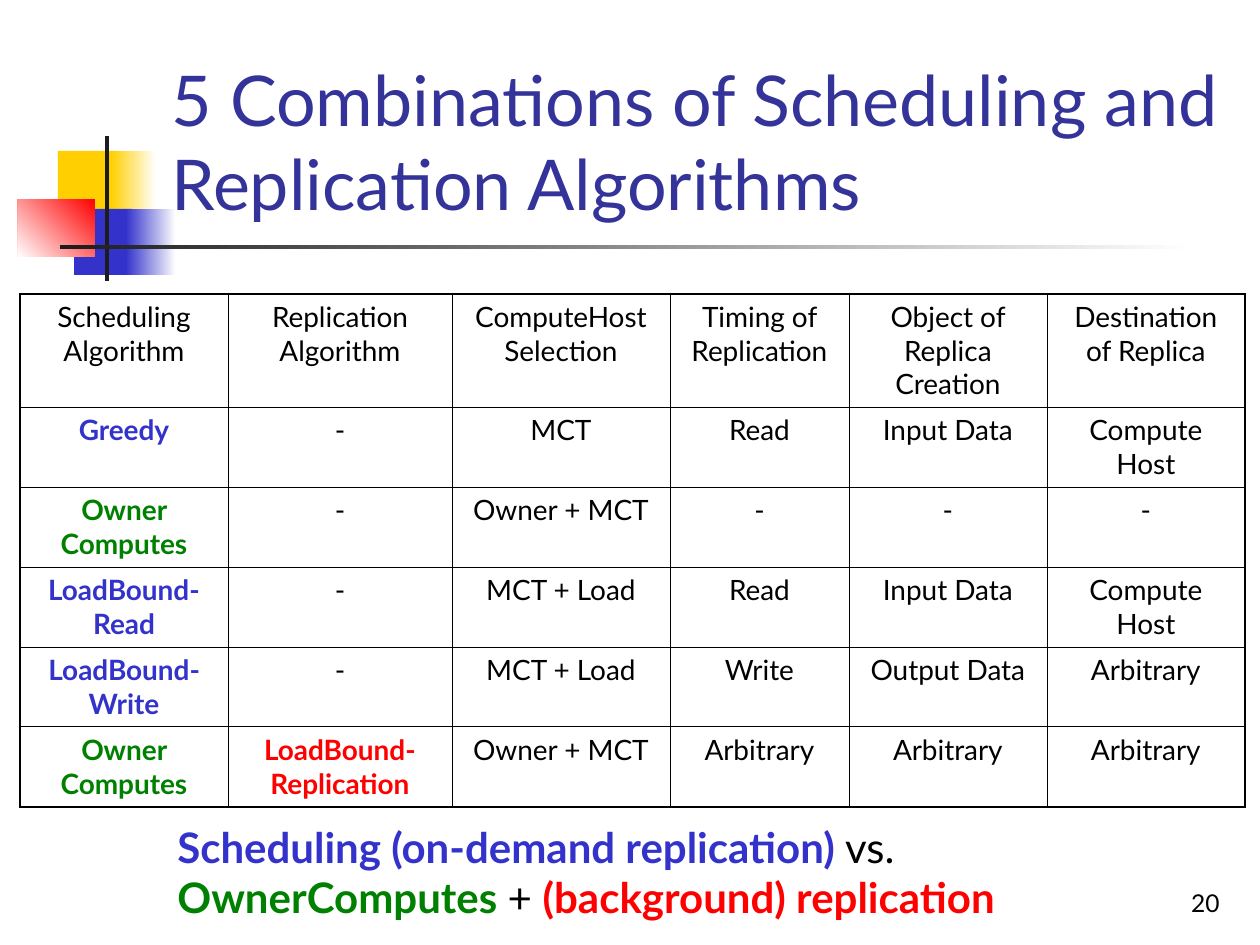
from typing import NamedTuple

from lxml import etree
from pptx import Presentation
from pptx.dml.color import RGBColor
from pptx.enum.shapes import MSO_SHAPE
from pptx.enum.text import MSO_ANCHOR, MSO_AUTO_SIZE, PP_ALIGN
from pptx.oxml.ns import qn
from pptx.util import Emu, Pt

RECT = MSO_SHAPE.RECTANGLE
TOP, BOTTOM = MSO_ANCHOR.TOP, MSO_ANCHOR.BOTTOM
LEFT, CENTER, RIGHT = PP_ALIGN.LEFT, PP_ALIGN.CENTER, PP_ALIGN.RIGHT
NO_AUTOFIT = MSO_AUTO_SIZE.NONE

PX_PER_INCH = 126
FONT = "Lato"
BLACK, WHITE, INK = "000000", "FFFFFF", "1C1C1C"
YELLOW, BLUE, RED, GREEN, NAVY = "FFCF01", "3333CC", "FF0000", "008000", "333399"
THIN, THICK = 0.45, 1.08
TITLE_ONLY = 5


class Box(NamedTuple):
    x: int
    y: int
    w: int
    h: int


class Block(NamedTuple):
    box: Box
    start: str
    end: str = ""
    angle: int = 180


class Run(NamedTuple):
    text: str
    color: str = BLACK
    bold: bool = False


BLOCKS = [
    Block(Box(58, 151, 60, 66), YELLOW),
    Block(Box(111, 151, 45, 66), WHITE, YELLOW),
    Block(Box(74, 209, 58, 66), BLUE),
    Block(Box(126, 209, 50, 66), WHITE, BLUE),
    Block(Box(18, 199, 77, 58), RED, WHITE, 225),
    Block(Box(105, 136, 4, 145), INK),
    Block(Box(60, 245, 1134, 4), WHITE, INK),
]

COLUMNS = [208, 224, 218, 179, 198, 198]
ROWS = [113] + [80] * 5
NONE = Run("-")
OWNER = Run("Owner Computes", GREEN, True)
HEADERS = ["Scheduling Algorithm", "Replication Algorithm", "ComputeHost Selection",
           "Timing of Replication", "Object of Replica Creation", "Destination of Replica"]
CELLS = [
    [Run(header) for header in HEADERS],
    [Run("Greedy", BLUE, True), NONE, Run("MCT"), Run("Read"),
     Run("Input Data"), Run("Compute Host")],
    [OWNER, NONE, Run("Owner + MCT"), NONE, NONE, NONE],
    [Run("LoadBound-Read", BLUE, True), NONE, Run("MCT + Load"), Run("Read"),
     Run("Input Data"), Run("Compute Host")],
    [Run("LoadBound-Write", BLUE, True), NONE, Run("MCT + Load"), Run("Write"),
     Run("Output Data"), Run("Arbitrary")],
    [OWNER, Run("LoadBound-\nReplication", RED, True), Run("Owner + MCT")]
    + [Run("Arbitrary")] * 3,
]

SUMMARY = [
    Run("Scheduling (on-demand replication) ", BLUE, True),
    Run("vs. \n"),
    Run("OwnerComputes ", GREEN, True),
    Run("+ "),
    Run("(background) replication", RED, True),
]


def px(n: int) -> Emu:
    return Emu(round(n * 914400 / PX_PER_INCH))


def rgb(color: str) -> RGBColor:
    return RGBColor.from_string(color)


def place(box: Box) -> list[Emu]:
    return [px(n) for n in box]


def add_block(shapes, block: Block) -> None:
    sp = shapes.add_shape(RECT, *place(block.box))
    sp.shadow.inherit = False
    sp.line.fill.background()
    if not block.end:
        sp.fill.solid()
        sp.fill.fore_color.rgb = rgb(block.start)
        return
    sp.fill.gradient()
    sp.fill.gradient_angle = block.angle
    for stop, color in zip(sp.fill.gradient_stops, (block.start, block.end)):
        stop.color.rgb = rgb(color)


def write(tf, runs: list[Run], size: int, align=LEFT) -> None:
    p = tf.paragraphs[0]
    p.alignment = align
    for run in runs:
        for i, line in enumerate(run.text.split("\n")):
            if i:
                p.add_line_break()
            if not line:
                continue
            r = p.add_run()
            r.text = line
            r.font.name = FONT
            r.font.size = Pt(size)
            r.font.bold = run.bold
            r.font.color.rgb = rgb(run.color)


def add_text(shapes, box: Box, runs: list[Run], size: int, align, anchor) -> None:
    tf = shapes.add_textbox(*place(box)).text_frame
    tf.word_wrap = True
    tf.vertical_anchor = anchor
    write(tf, runs, size, align)


def set_border(cell, side: str, width: float) -> None:
    ln = etree.SubElement(cell._tc.get_or_add_tcPr(), qn(f"a:ln{side}"), w=str(Pt(width)))
    fill = etree.SubElement(ln, qn("a:solidFill"))
    etree.SubElement(fill, qn("a:srgbClr"), val=BLACK)


def add_grid(shapes, x: int, y: int) -> None:
    box = Box(x, y, sum(COLUMNS), sum(ROWS))
    table = shapes.add_table(len(ROWS), len(COLUMNS), *place(box)).table
    table.first_row = table.horz_banding = False
    for column, width in zip(table.columns, COLUMNS):
        column.width = px(width)
    for row, height in zip(table.rows, ROWS):
        row.height = px(height)
    for i, runs in enumerate(CELLS):
        for j, run in enumerate(runs):
            cell = table.cell(i, j)
            outer = {"L": j == 0, "R": j == len(COLUMNS) - 1,
                     "T": i == 0, "B": i == len(ROWS) - 1}
            for side, is_outer in outer.items():
                set_border(cell, side, THICK if is_outer else THIN)
            cell.fill.background()
            write(cell.text_frame, [run], 16, CENTER)


def main() -> None:
    prs = Presentation()
    prs.slide_width, prs.slide_height = px(1260), px(945)
    s = prs.slides.add_slide(prs.slide_layouts[TITLE_ONLY])
    for block in BLOCKS:
        add_block(s.shapes, block)

    title = s.shapes.title
    title.left, title.top, title.width, title.height = place(Box(159, 29, 1074, 202))
    tf = title.text_frame
    tf.auto_size = NO_AUTOFIT
    tf.vertical_anchor = BOTTOM
    write(tf, [Run("5 Combinations of Scheduling and Replication Algorithms", NAVY)], 40)
    s.shapes._spTree.append(title._element)

    add_grid(s.shapes, 20, 294)
    add_text(s.shapes, Box(165, 815, 944, 113), SUMMARY, 24, LEFT, TOP)
    add_text(s.shapes, Box(970, 861, 262, 63), [Run("20")], 14, RIGHT, BOTTOM)
    prs.save("out.pptx")


if __name__ == "__main__":
    main()
